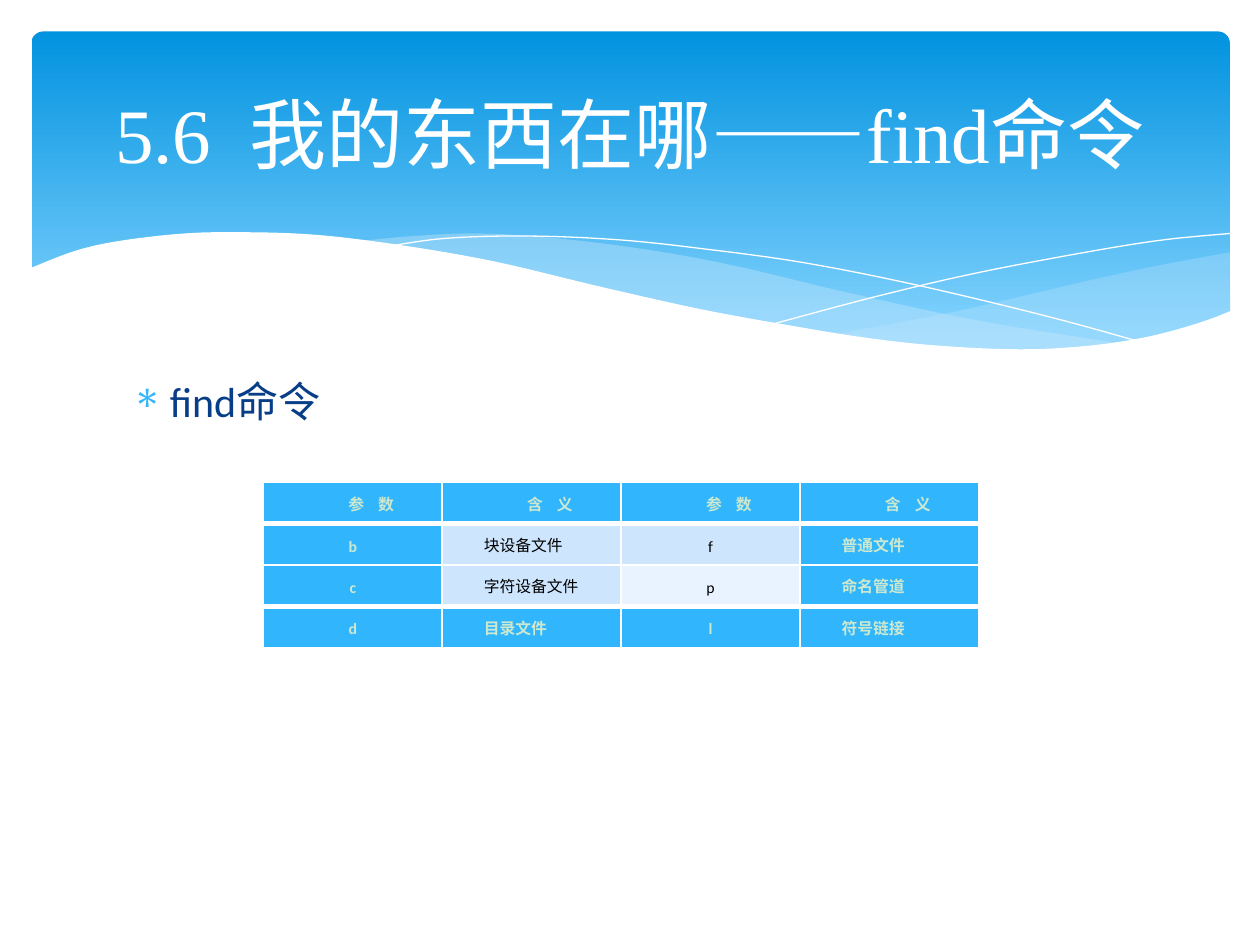
from lxml import etree
from pptx import Presentation
from pptx.dml.color import RGBColor
from pptx.enum.shapes import MSO_SHAPE
from pptx.enum.text import MSO_ANCHOR, PP_ALIGN
from pptx.oxml.ns import qn
from pptx.util import Inches, Pt

ROUNDED = MSO_SHAPE.ROUNDED_RECTANGLE
MIDDLE, TOP = MSO_ANCHOR.MIDDLE, MSO_ANCHOR.TOP
LEFT, CENTER, JUSTIFY = PP_ALIGN.LEFT, PP_ALIGN.CENTER, PP_ALIGN.JUSTIFY
WIDTH, HEIGHT = Inches(10), Inches(7.5)
COLUMN, ROW = WIDTH / 100, HEIGHT / 75
COLORS = {
    "paper": "FFFFFF", "band_top": "0293E0", "band_bottom": "83D3FE",
    "haze": "C6E7FC", "navy": "073E87", "blue": "31B6FD", "mint": "CCE8CF",
    "pale": "CEE5FE", "paler": "E8F3FF", "black": "000000",
}
RIGHT_HAZE = [
    [(99.8, 11), (94.1, 17.9), (87.8, 26.9), (76.5, 44.1), (66.9, 55.9)],
    [(66.9, 55.9), (71.5, 60), (76.9, 63.4), (82.9, 64.8), (88.1, 62.8),
     (92.5, 58.6), (96.3, 51.7), (99.9, 43.4)],
]
LEFT_HAZE = [
    [(27.6, 4.8), (32, 2.1), (37.4, 0.7), (43.9, 3.4), (51.5, 9.7),
     (58.8, 18.6), (67.6, 32.4), (78.8, 48.3), (91.2, 61.4)],
    [(91.2, 61.4), (85.4, 64.8), (78.6, 64.1), (71.9, 60.7), (64, 53.1),
     (53.1, 38.6), (42.3, 22.1), (33.4, 10.3), (27.6, 4.8)],
]
FALLING_LINE = [
    [(30, 7.6), (34.6, 3.4), (41.2, 2.1), (48.8, 4.1), (55.9, 9),
     (64.3, 16.6), (73.8, 29), (84.7, 46.2), (92.7, 60.7)],
]
RISING_LINE = [
    [(61.8, 50.3), (70.4, 35.2), (78.9, 22.1), (88.4, 10.3), (94.4, 4.1),
     (99.8, 0.7)],
]
PAPER_WAVE = [
    [(0, 20), (3.8, 10.3), (7.5, 4.8), (12.9, 0.7), (17.8, 0), (23.8, 1.4),
     (30.7, 6.9), (38.6, 15.9), (47.4, 29.7), (55.8, 42.1), (63.2, 51),
     (69.7, 57.9), (75.6, 62.1), (82.4, 64.1), (88.1, 62.1), (93, 57.2),
     (97.2, 49.7), (100, 42.8)],
    [(100, 42.8), (100, 100)],
    [(100, 100), (0, 100)],
]
FILE_TYPES = [
    ["参 数", "含 义", "参 数", "含 义"],
    ["b", "块设备文件", "f", "普通文件"],
    ["c", "字符设备文件", "p", "命名管道"],
    ["d", "目录文件", "l", "符号链接"],
]
LIGHT_CELLS = {(1, 1): "pale", (1, 2): "pale", (2, 1): "pale", (2, 2): "paler"}


def color(name):
    """Return the named colour."""
    return RGBColor.from_string(COLORS[name])


def grid_box(left, top, width, height):
    """Turn grid columns and rows into a box in slide units."""
    return (round(left * COLUMN), round(top * ROW),
            round(width * COLUMN), round(height * ROW))


def write_text(frame, parts, size, font, ink, bold=False, align=LEFT, anchor=TOP,
               margin=0, indent=0, bullet=None, line=None, after=None):
    """Write one paragraph from pairs of text and letter spacing in points."""
    frame.word_wrap = True
    frame.vertical_anchor = anchor
    paragraph = frame.paragraphs[0]
    properties = paragraph._p.get_or_add_pPr()
    properties.set("marL", str(Inches(margin)))
    properties.set("indent", str(Inches(indent)))
    if bullet:
        bullet_color = etree.SubElement(properties, qn("a:buClr"))
        etree.SubElement(bullet_color, qn("a:srgbClr"), val=COLORS["blue"])
        etree.SubElement(properties, qn("a:buChar"), char=bullet)
    paragraph.alignment = align
    paragraph.line_spacing, paragraph.space_after = line, after
    for text, spacing in parts:
        run = paragraph.add_run()
        run.text = text
        run.font.size, run.font.name, run.font.bold = Pt(size), font, bold
        run.font.color.rgb = color(ink)
        if spacing:
            run._r.get_or_add_rPr().set("spc", str(spacing * 100))


def smooth(points, steps=6):
    """Return points along a Catmull-Rom curve through the given points."""
    padded = [points[0], *points, points[-1]]
    curve = [points[0]]
    for a, b, c, d in zip(padded, padded[1:], padded[2:], padded[3:]):
        for step in range(1, steps + 1):
            t = step / steps
            curve.append(tuple(
                (2 * q + (r - p) * t + (2 * p - 5 * q + 4 * r - s) * t ** 2
                 + (3 * q - p - 3 * r + s) * t ** 3) / 2
                for p, q, r, s in zip(a, b, c, d)))
    return curve


def add_wave(slide, box, curves, fill=None, opacity=100):
    """Draw curves given in percent of the box, filled or as a hairline."""
    left, top, width, height = box
    points = [(left + x * width / 100, top + y * height / 100)
              for curve in curves for x, y in smooth(curve)]
    builder = slide.shapes.build_freeform(*points[0])
    builder.add_line_segments(points[1:], close=fill is not None)
    shape = builder.convert_to_shape()
    shape.shadow.inherit = False
    if fill is None:
        shape.fill.background()
        shape.line.color.rgb = color("paper")
        shape.line.width = 0
        return
    shape.fill.solid()
    shape.fill.fore_color.rgb = color(fill)
    shape.line.fill.background()
    if opacity < 100:
        solid_color = shape._element.spPr.find(".//" + qn("a:srgbClr"))
        etree.SubElement(solid_color, qn("a:alpha"), val=str(opacity * 1000))


def add_banner(slide, box):
    """Draw the gradient band and the waves along its foot."""
    left, top, width, height = box
    band = slide.shapes.add_shape(ROUNDED, *box)
    band.adjustments[0] = 0.034
    band.shadow.inherit = False
    band.line.fill.background()
    band.fill.gradient()
    band.fill.gradient_angle = 270
    stops = zip(band.fill.gradient_stops, ("band_top", "band_bottom"), (0, 0.9))
    for stop, name, position in stops:
        stop.color.rgb = color(name)
        stop.position = position
    overlap = round(0.2 * COLUMN)
    waves = (left - overlap, round(top + 0.59 * height),
             width + 2 * overlap, round(0.537 * height))
    add_wave(slide, waves, RIGHT_HAZE, "haze", 29)
    add_wave(slide, waves, LEFT_HAZE, "haze", 40)
    add_wave(slide, waves, FALLING_LINE)
    add_wave(slide, waves, RISING_LINE)
    add_wave(slide, waves, PAPER_WAVE, "paper")


def place_title(slide, box):
    """Place the title in front of the banner."""
    title = slide.shapes.title
    title.left, title.top, title.width, title.height = box
    title.element.getparent().append(title.element)
    parts = [("5.6", 0), (" ", 11), ("我的东西在哪——find命令", 0)]
    write_text(title.text_frame, parts, 44, "Times New Roman", "paper",
               align=CENTER, anchor=MIDDLE)


def add_body(slide, box):
    """Add the bulleted line."""
    frame = slide.shapes.add_textbox(*box).text_frame
    write_text(frame, [("find命令", 0)], 24, "Calibri", "navy",
               margin=0.3, indent=-0.3, bullet="∗")


def add_borders(cell, widths):
    """Give a cell left, right, top and bottom borders in points."""
    properties = cell._tc.get_or_add_tcPr()
    for side, width in zip("LRTB", widths):
        border = etree.SubElement(properties, qn(f"a:ln{side}"), w=str(Pt(width)))
        fill = etree.SubElement(border, qn("a:solidFill"))
        etree.SubElement(fill, qn("a:srgbClr"), val=COLORS["paper"])


def add_file_types(slide, box):
    """Add the table of file type parameters."""
    rows, columns = len(FILE_TYPES), len(FILE_TYPES[0])
    table = slide.shapes.add_table(rows, columns, *box).table
    table.horz_banding = False
    for row, texts in enumerate(FILE_TYPES):
        for column, text in enumerate(texts):
            cell = table.cell(row, column)
            cell.margin_left = cell.margin_right = Inches(0.07)
            cell.margin_top = cell.margin_bottom = 0
            cell.vertical_anchor = MIDDLE
            above = 3 if row in (1, rows - 1) else 1
            below = 3 if row in (0, rows - 2) else 1
            add_borders(cell, (1, 1, above, below))
            light = LIGHT_CELLS.get((row, column))
            cell.fill.solid()
            cell.fill.fore_color.rgb = color(light or "blue")
            header, meaning = row == 0, column % 2 == 1
            align = CENTER if header or not meaning else JUSTIFY if column == 1 else LEFT
            write_text(cell.text_frame, [(text, 3 if header else 0)], 9, "Calibri",
                       "black" if light else "mint", bold=not light, align=align,
                       anchor=MIDDLE, line=Pt(13.5), after=Pt(1),
                       indent=0.29 if header else 0.26 if meaning else 0)


def main():
    """Build and save the slide."""
    presentation = Presentation()
    presentation.slide_width, presentation.slide_height = WIDTH, HEIGHT
    slide = presentation.slides.add_slide(presentation.slide_layouts[5])
    slide.background.fill.solid()
    slide.background.fill.fore_color.rgb = color("paper")
    add_banner(slide, grid_box(2.5, 2.5, 95.1, 27))
    place_title(slide, grid_box(5, 3.7, 90, 13.7))
    add_body(slide, grid_box(9.5, 29.3, 81, 37.7))
    add_file_types(slide, grid_box(20.9, 38.3, 56.8, 13.1))
    presentation.save("out.pptx")


if __name__ == "__main__":
    main()
